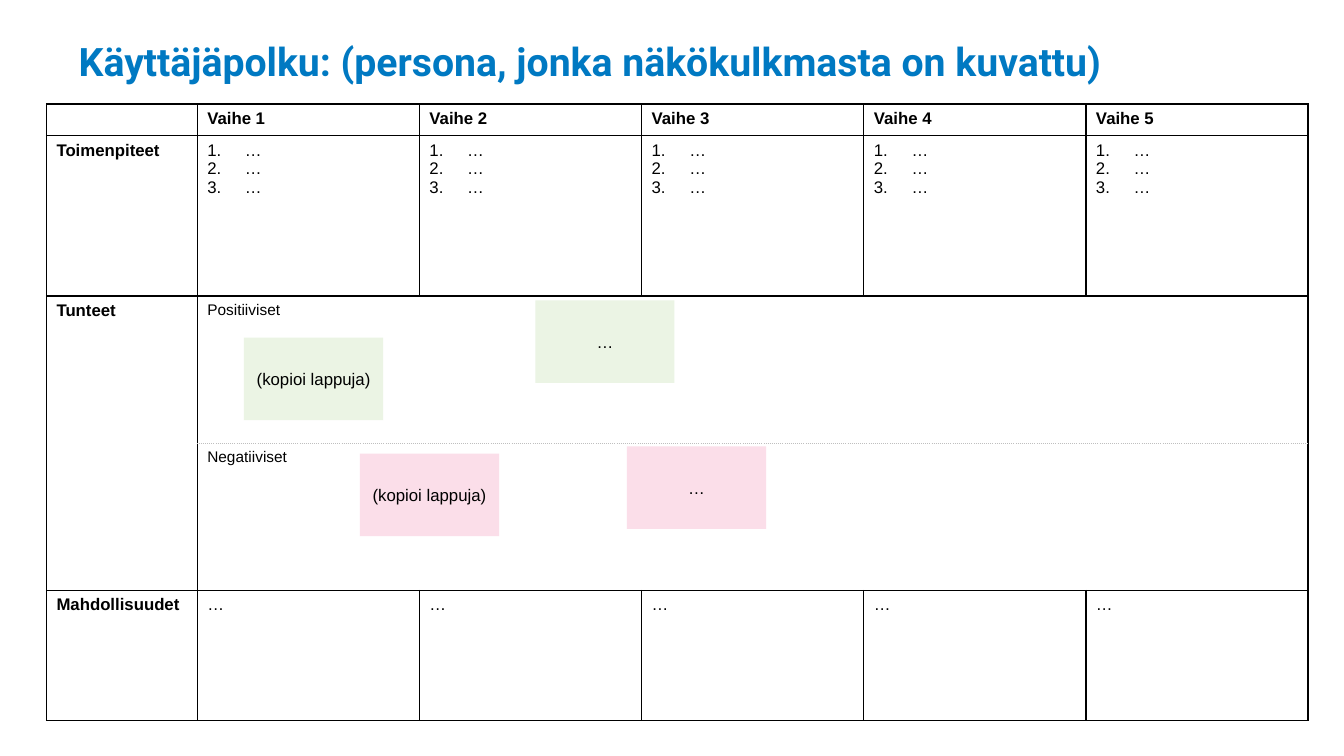
import pptx
import pptx.util
import pptx.dml.color
import pptx.enum.shapes
import pptx.enum.text
import pptx.oxml.ns
import lxml.etree
from pptx.util import Cm, Pt

THEME = {
    "black": "000000", "white": "FFFFFF", "divider": "BFBFBF",
    "positive": "EBF4E4", "negative": "FBDEE9",
    "title": {"name": "Roboto", "size": Pt(28), "bold": True, "color": "0079C2"},
    "heading": {"name": "Arial", "size": Pt(12), "bold": True, "color": "000000"},
    "text": {"name": "Arial", "size": Pt(12), "bold": False, "color": "000000"},
    "small": {"name": "Arial", "size": Pt(11), "bold": False, "color": "000000"},
}
STAGES = 5


def write(paragraph, wording, style):
    font = paragraph.add_run().font
    paragraph.runs[0].text = wording
    for attribute, value in THEME[style].items():
        if attribute == "color":
            font.color.rgb = pptx.dml.color.RGBColor.from_string(value)
        else:
            setattr(font, attribute, value)


def add_border(cell, side, color, width, dash):
    line = lxml.etree.SubElement(cell._tc.get_or_add_tcPr(),
                                 pptx.oxml.ns.qn(f"a:ln{side}"), w=str(Pt(width)))
    fill = lxml.etree.SubElement(line, pptx.oxml.ns.qn("a:solidFill"))
    lxml.etree.SubElement(fill, pptx.oxml.ns.qn("a:srgbClr"), val=color)
    lxml.etree.SubElement(line, pptx.oxml.ns.qn("a:prstDash"), val=dash)


deck = pptx.Presentation()
deck.slide_width, deck.slide_height = Cm(33.87), Cm(19.05)
slide = deck.slides.add_slide(deck.slide_layouts[5])

# Title
title = slide.shapes.title
title.left, title.top, title.width, title.height = Cm(1.73), Cm(1.02), Cm(30.7), Cm(1.2)
title_frame = title.text_frame
title_format = {"word_wrap": True, "auto_size": pptx.enum.text.MSO_AUTO_SIZE.NONE,
                "vertical_anchor": pptx.enum.text.MSO_ANCHOR.MIDDLE}
for attribute, value in title_format.items():
    setattr(title_frame, attribute, value)
heading = title_frame.paragraphs[0]
heading.alignment = pptx.enum.text.PP_ALIGN.LEFT
heading.line_spacing = 0.9
write(heading, "Käyttäjäpolku: (persona, jonka näkökulkmasta on kuvattu)", "title")

# Journey table
column_widths = [3.8] + [5.6] * STAGES
row_heights = [0.8, 4.04, 3.71, 3.71, 3.28]
journey = slide.shapes.add_table(
    len(row_heights), len(column_widths), Cm(1.17), Cm(2.62),
    Cm(sum(column_widths)), Cm(sum(row_heights))).table
journey.first_row = journey.horz_banding = False
for column, width in zip(journey.columns, column_widths):
    column.width = Cm(width)
for row, height in zip(journey.rows, row_heights):
    row.height = Cm(height)

dotted_sides = {(2, "B"), (3, "T")}
for row_index, row in enumerate(journey.rows):
    for column_index, cell in enumerate(row.cells):
        for side in "LRTB":
            if column_index and (row_index, side) in dotted_sides:
                add_border(cell, side, THEME["divider"], 0.75, "sysDot")
            else:
                add_border(cell, side, THEME["black"], 1, "solid")
        cell.fill.solid()
        cell.fill.fore_color.rgb = pptx.dml.color.RGBColor.from_string(THEME["white"])

journey.cell(2, 0).merge(journey.cell(3, 0))
for emotion_row, emotion in enumerate(["Positiiviset", "Negatiiviset"], start=2):
    journey.cell(emotion_row, 1).merge(journey.cell(emotion_row, STAGES))
    write(journey.cell(emotion_row, 1).text_frame.paragraphs[0], emotion, "small")

row_labels = {1: "Toimenpiteet", 2: "Tunteet", 4: "Mahdollisuudet"}
for row_index, label in row_labels.items():
    write(journey.cell(row_index, 0).text_frame.paragraphs[0], label, "heading")

# The empty corner cell needs a small type size to keep the header row low
corner = journey.cell(0, 0).text_frame.paragraphs[0]
lxml.etree.SubElement(corner._p, pptx.oxml.ns.qn("a:endParaRPr"), sz="1200")

for stage in range(1, STAGES + 1):
    write(journey.cell(0, stage).text_frame.paragraphs[0], f"Vaihe {stage}", "heading")
    write(journey.cell(4, stage).text_frame.paragraphs[0], "…", "text")
    actions = journey.cell(1, stage).text_frame
    for action in range(3):
        paragraph = actions.add_paragraph() if action else actions.paragraphs[0]
        write(paragraph, "…", "text")
        properties = paragraph._p.get_or_add_pPr()
        properties.set("marL", str(Cm(0.95)))
        properties.set("indent", str(-Cm(0.95)))
        lxml.etree.SubElement(properties, pptx.oxml.ns.qn("a:buFont"), typeface="+mj-lt")
        lxml.etree.SubElement(properties, pptx.oxml.ns.qn("a:buAutoNum"),
                              type="arabicPeriod")

# Sticky notes
notes = [
    (6.15, 8.51, "positive", "(kopioi lappuja)"),
    (9.07, 11.43, "negative", "(kopioi lappuja)"),
    (13.49, 7.57, "positive", "…"),
    (15.8, 11.25, "negative", "…"),
]
for left, top, mood, wording in notes:
    note = slide.shapes.add_shape(pptx.enum.shapes.MSO_SHAPE.RECTANGLE,
                                  Cm(left), Cm(top), Cm(3.51), Cm(2.08))
    note.shadow.inherit = False
    note.fill.solid()
    note.fill.fore_color.rgb = pptx.dml.color.RGBColor.from_string(THEME[mood])
    note.line.fill.background()
    note_format = {"word_wrap": True, "margin_left": Cm(0.2), "margin_right": Cm(0.2),
                   "vertical_anchor": pptx.enum.text.MSO_ANCHOR.MIDDLE}
    for attribute, value in note_format.items():
        setattr(note.text_frame, attribute, value)
    paragraph = note.text_frame.paragraphs[0]
    paragraph.alignment = pptx.enum.text.PP_ALIGN.CENTER
    write(paragraph, wording, "text")

deck.save("out.pptx")
